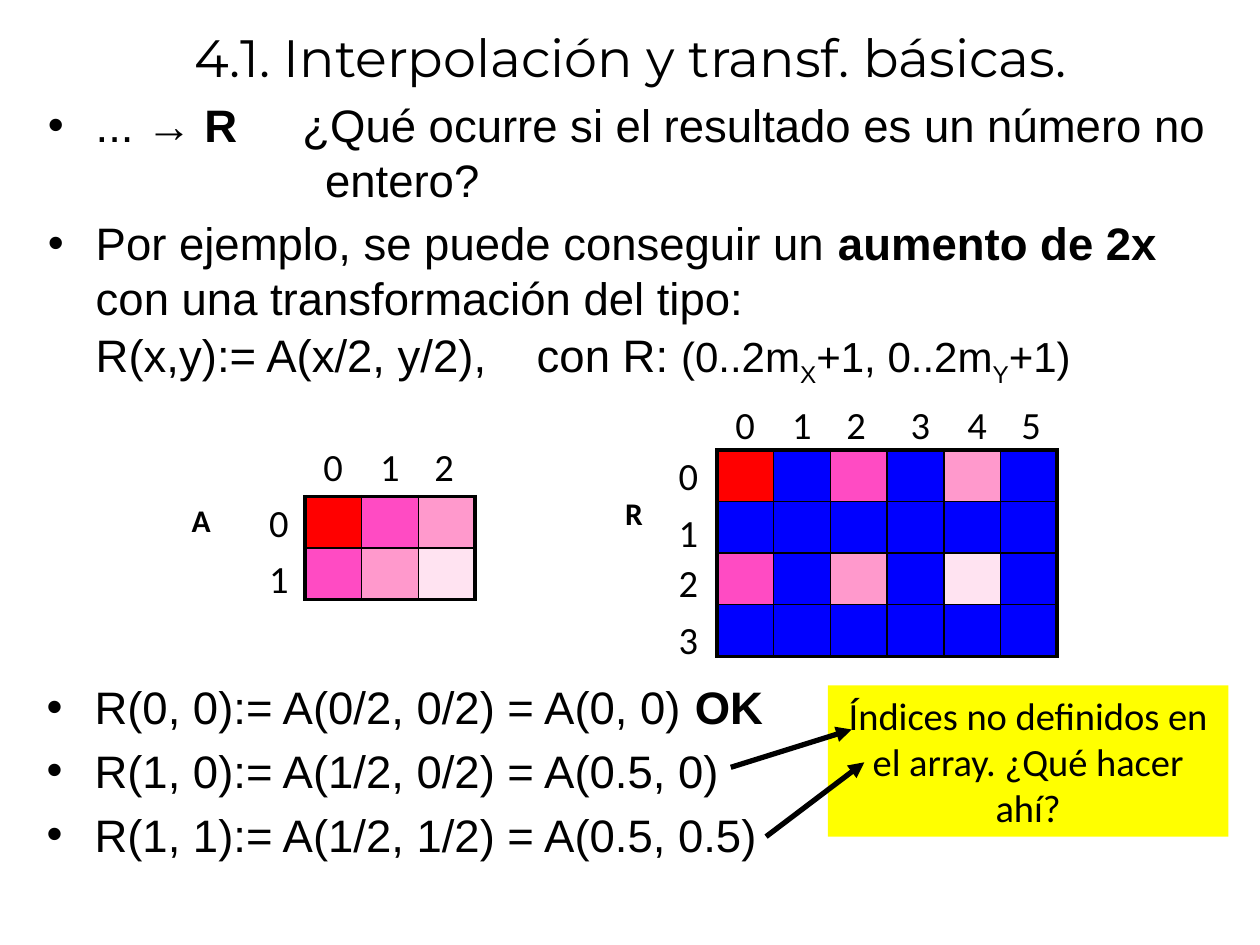
from dataclasses import dataclass

from lxml import etree
from pptx import Presentation
from pptx.dml.color import RGBColor
from pptx.enum.shapes import MSO_CONNECTOR, MSO_SHAPE
from pptx.enum.text import MSO_ANCHOR, MSO_AUTO_SIZE, PP_ALIGN
from pptx.oxml.ns import qn
from pptx.util import Emu, Inches, Pt

STRAIGHT = MSO_CONNECTOR.STRAIGHT
RECTANGLE = MSO_SHAPE.RECTANGLE
MIDDLE, TOP = MSO_ANCHOR.MIDDLE, MSO_ANCHOR.TOP
NO_FIT = MSO_AUTO_SIZE.NONE
CENTER, LEFT, RIGHT = PP_ALIGN.CENTER, PP_ALIGN.LEFT, PP_ALIGN.RIGHT

TWO_CONTENT_LAYOUT = 3
GRID = Inches(0.1)  # the slide is 100 columns by 75 rows
CELL_WIDTH, CELL_HEIGHT = 4.5, 4.1
LABEL_WIDTH, LABEL_HEIGHT = 3.8, 4.7
HANGING = 3.8
BLACK, YELLOW, BLUE = "000000", "FFFF00", "0000FF"
SOURCE_PIXELS = [["FF0000", "FF4BC3", "FF99CC"], ["FF4BC3", "FF99CC", "FFE3F1"]]
# Every odd row or column of the doubled array has no source pixel.
DOUBLED_PIXELS = [
    [BLUE if x % 2 or y % 2 else SOURCE_PIXELS[y // 2][x // 2] for x in range(6)]
    for y in range(4)
]


@dataclass
class Span:
    text: str
    bold: bool = False
    size: float = 26
    font: str = "Arial"
    baseline: int = 0


@dataclass
class Item:
    spans: list[Span]
    bullet: bool = True
    tabs: tuple[float, ...] = ()


@dataclass
class PixelArray:
    name: str
    pixels: list[list[str]]
    left: float
    top: float
    name_offset: tuple[float, float]
    row_label_offset: float
    column_label_offset: float


@dataclass
class Arrow:
    start: tuple[float, float]
    end: tuple[float, float]


INTRODUCTION = [
    Item([Span("... "), Span("→ R", bold=True),
          Span("\t¿Qué ocurre si el resultado es un número no\n\t\tentero?")],
         tabs=(20.2, 22)),
    Item([Span("Por ejemplo, se puede conseguir un "), Span("aumento de 2x", bold=True),
          Span(" con una transformación del tipo:")]),
    Item([Span("R(x,y):= A(x/2, y/2),\tcon R: "), Span("(0..2m", size=24),
          Span("X", size=24, baseline=-25), Span("+1, 0..2m", size=24),
          Span("Y", size=24, baseline=-25), Span("+1)", size=24)],
         bullet=False, tabs=(36.7,)),
]
EXAMPLES = [
    Item([Span("R(0, 0):= A(0/2, 0/2) = A(0, 0) "), Span("OK", bold=True)]),
    Item([Span("R(1, 0):= A(1/2, 0/2) = A(0.5, 0)")]),
    Item([Span("R(1, 1):= A(1/2, 1/2) = A(0.5, 0.5)")]),
]
ARRAYS = [
    PixelArray("A", SOURCE_PIXELS, 24.2, 39.4, (-11.7, -0.1), -4.1, -4.7),
    PixelArray("R", DOUBLED_PIXELS, 56.9, 35.7, (-10.1, 3), -4.3, -4.4),
]
ARROWS = [Arrow((58, 60.9), (67.6, 57.9)), Arrow((60.8, 66.4), (68.6, 60.5))]


def grid(count: float) -> Emu:
    return Emu(round(count * GRID))


def color(value: str) -> RGBColor:
    return RGBColor.from_string(value)


def place(shape, left: float, top: float, width: float, height: float) -> None:
    shape.left, shape.top = grid(left), grid(top)
    shape.width, shape.height = grid(width), grid(height)


def add_span(paragraph, span: Span) -> None:
    for index, line in enumerate(span.text.split("\n")):
        if index:
            paragraph.add_line_break()
        run = paragraph.add_run()
        run.text = line
        run.font.name, run.font.size, run.font.bold = span.font, Pt(span.size), span.bold
        run.font.color.rgb = color(BLACK)
        if span.baseline:
            run.font._element.set("baseline", str(span.baseline * 1000))


def fill_text(shape, span: Span, alignment, anchor=TOP) -> None:
    frame = shape.text_frame
    frame.word_wrap, frame.auto_size, frame.vertical_anchor = True, NO_FIT, anchor
    frame.paragraphs[0].alignment = alignment
    add_span(frame.paragraphs[0], span)


def fill_list(shape, items: list[Item]) -> None:
    frame = shape.text_frame
    frame.word_wrap, frame.auto_size, frame.vertical_anchor = True, NO_FIT, TOP
    for index, item in enumerate(items):
        paragraph = frame.add_paragraph() if index else frame.paragraphs[0]
        properties = paragraph._p.get_or_add_pPr()
        properties.set("marL", str(grid(HANGING)))
        properties.set("indent", str(grid(-HANGING) if item.bullet else 0))
        if item.bullet:
            etree.SubElement(properties, qn("a:buChar"), char="•")
        else:
            etree.SubElement(properties, qn("a:buNone"))
        if item.tabs:
            tab_list = etree.SubElement(properties, qn("a:tabLst"))
            for stop in item.tabs:
                etree.SubElement(tab_list, qn("a:tab"), pos=str(grid(stop)), algn="l")
        paragraph.alignment = LEFT
        paragraph.line_spacing = Pt(31.2)
        paragraph.space_before = Pt(5.2 if index else 0)
        for span in item.spans:
            add_span(paragraph, span)


def add_label(slide, text: str, left: float, top: float, width: float = LABEL_WIDTH,
              size: float = 22, bold: bool = False) -> None:
    label = slide.shapes.add_textbox(grid(left), grid(top), grid(width), grid(LABEL_HEIGHT))
    fill_text(label, Span(text, bold, size, "Calibri"), RIGHT)


def set_border(cell, side: str, width: float) -> None:
    line = etree.SubElement(cell._tc.get_or_add_tcPr(), qn(f"a:ln{side}"), w=str(Pt(width)))
    fill = etree.SubElement(line, qn("a:solidFill"))
    etree.SubElement(fill, qn("a:srgbClr"), val=BLACK)


def add_array(slide, array: PixelArray) -> None:
    rows, columns = len(array.pixels), len(array.pixels[0])
    table = slide.shapes.add_table(
        rows, columns, grid(array.left), grid(array.top),
        grid(columns * CELL_WIDTH), grid(rows * CELL_HEIGHT)).table
    table.first_row = table.horz_banding = False
    for y, row in enumerate(array.pixels):
        for x, pixel in enumerate(row):
            cell = table.cell(y, x)
            outer = {"L": x == 0, "R": x == columns - 1, "T": y == 0, "B": y == rows - 1}
            for side, is_outer in outer.items():
                set_border(cell, side, 2.25 if is_outer else 1)
            cell.fill.solid()
            cell.fill.fore_color.rgb = color(pixel)
    for x in range(columns):
        add_label(slide, str(x), array.left + 13.9 * (x // 3) + (0.2, 4.7, 9)[x % 3],
                  array.top + array.column_label_offset)
    for y in range(rows):
        add_label(slide, str(y), array.left + array.row_label_offset,
                  array.top - 0.3 + 8.5 * (y // 2) + CELL_WIDTH * (y % 2))
    across, down = array.name_offset
    add_label(slide, array.name, array.left + across, array.top + down, 5.2, 18, True)


def add_arrow(slide, arrow: Arrow) -> None:
    points = [grid(value) for value in arrow.start + arrow.end]
    connector = slide.shapes.add_connector(STRAIGHT, *points)
    connector.line.width = Pt(3)
    connector.line.color.rgb = color(BLACK)
    etree.SubElement(connector.line._get_or_add_ln(), qn("a:tailEnd"), type="triangle")
    etree.SubElement(connector._element.spPr, qn("a:effectLst"))


def main() -> None:
    presentation = Presentation()
    presentation.slide_width, presentation.slide_height = grid(100), grid(75)
    slide = presentation.slides.add_slide(presentation.slide_layouts[TWO_CONTENT_LAYOUT])
    for placeholder in list(slide.placeholders)[3:]:
        placeholder._element.getparent().remove(placeholder._element)
    title, introduction, examples = slide.placeholders
    place(title, 2, 0, 96.1, 8.9)
    fill_text(title, Span("4.1. Interpolación y transf. básicas.", size=30, font="Montserrat"),
              CENTER, MIDDLE)
    place(introduction, 2.8, 7.2, 94.8, 25.8)
    fill_list(introduction, INTRODUCTION)
    place(examples, 2.7, 53.4, 69.9, 15.8)
    fill_list(examples, EXAMPLES)
    for array in ARRAYS:
        add_array(slide, array)
    note = slide.shapes.add_shape(RECTANGLE, grid(65.7), grid(54.4), grid(31.8), grid(12))
    note.shadow.inherit = False
    note.fill.solid()
    note.fill.fore_color.rgb = color(YELLOW)
    note.line.fill.background()
    fill_text(note, Span("Índices no definidos en el array. ¿Qué hacer ahí?", size=22,
                         font="Calibri"), CENTER)
    for arrow in ARROWS:
        add_arrow(slide, arrow)
    presentation.save("out.pptx")


if __name__ == "__main__":
    main()
